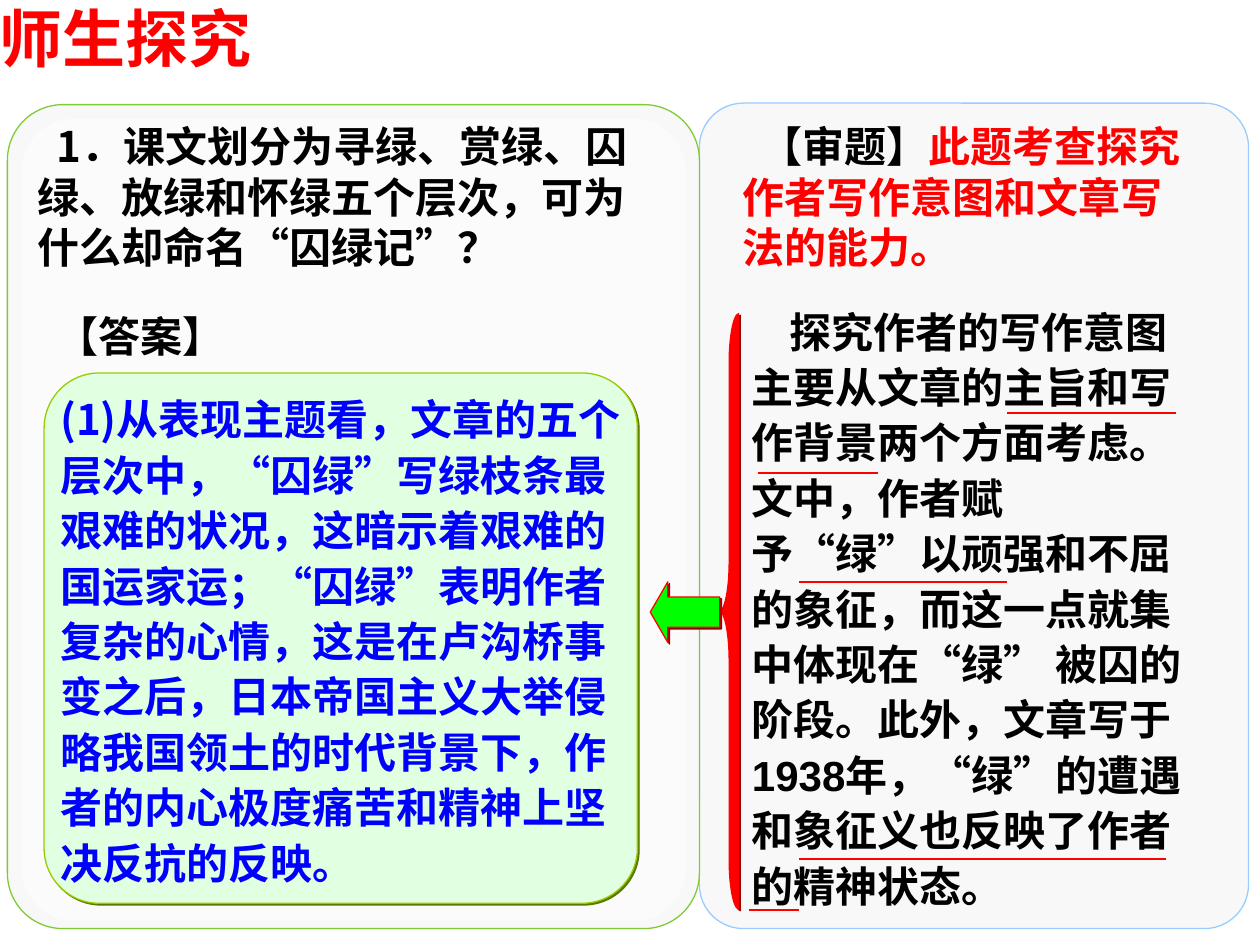
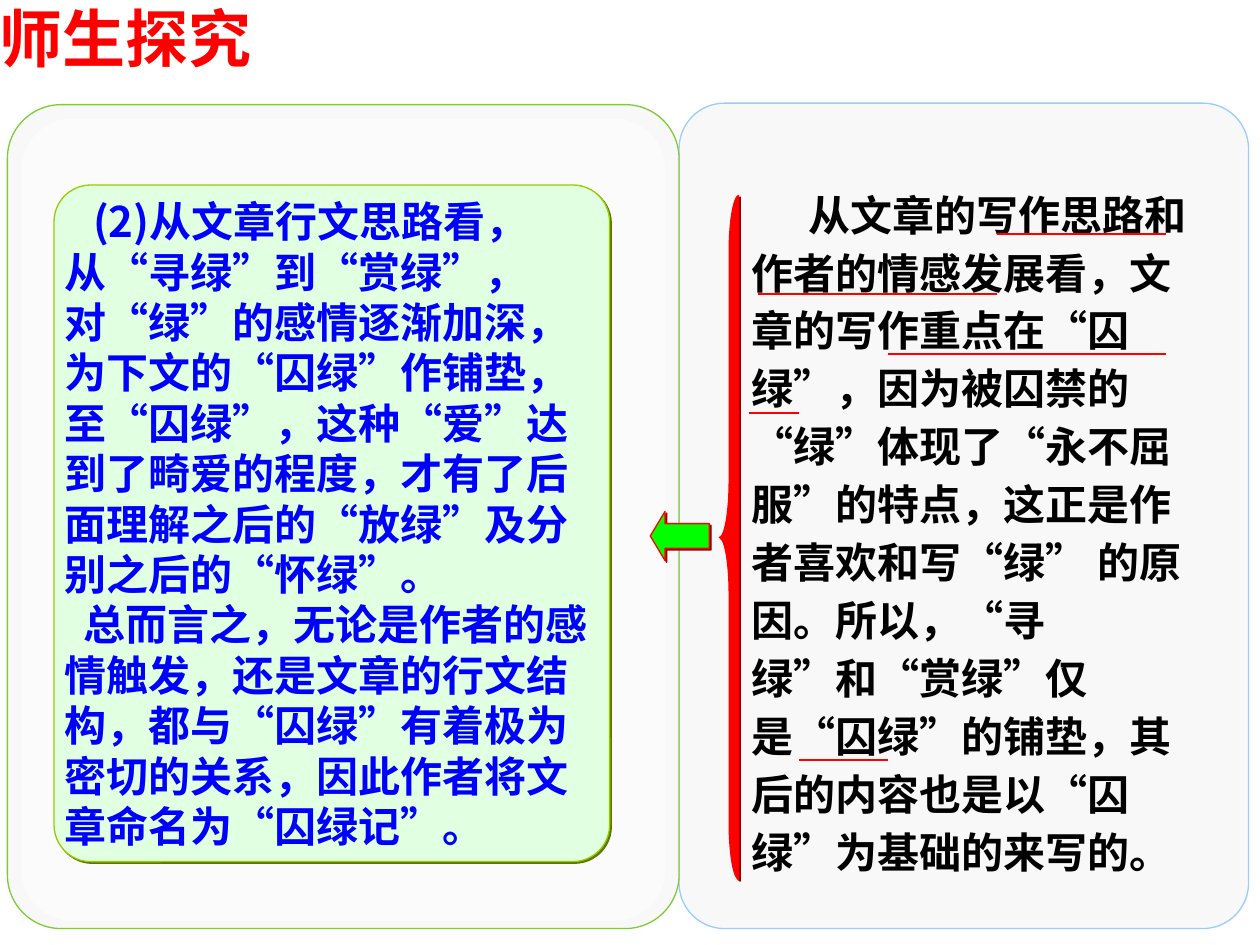
from dataclasses import dataclass

from pptx import Presentation
from pptx.dml.color import RGBColor
from pptx.enum.lang import MSO_LANGUAGE_ID as Language
from pptx.enum.shapes import MSO_CONNECTOR as Connector, MSO_SHAPE as Preset
from pptx.enum.text import MSO_ANCHOR as Anchor, MSO_AUTO_SIZE as AutoSize
from pptx.oxml import parse_xml
from pptx.oxml.ns import nsdecls, qn
from pptx.util import Cm, Pt


@dataclass(frozen=True)
class Theme:
    red: str = "FF0000"
    black: str = "000000"
    blue: str = "0000FF"
    white: str = "FFFFFF"
    card: str = "F8F8F8"
    left_edge: str = "80CB35"
    right_edge: str = "99CCFF"
    answer: str = "E1FFE1"
    answer_edge: str = "99CC00"
    answer_shadow: str = "5B7900"
    arrow: str = "00FF00"
    red_shadow: str = "980000"
    text_shadow: str = "808080"
    latin: str = "Arial"
    chinese: str = "Noto Sans CJK SC"
    title_size: int = 36
    body_size: int = 24
    edge_width: float = 0.75
    rule_width: float = 1
    space_width: float = 0.19


def shadow_effect(color):
    return parse_xml(
        f'<a:effectLst {nsdecls("a")}><a:outerShdw dist="{Pt(1.4)}" dir="2700000" algn="ctr">'
        f'<a:srgbClr val="{color}"/></a:outerShdw></a:effectLst>'
    )


class LessonDeck:
    """Builds the lesson slides in one shared style."""

    def __init__(self, theme):
        self.theme = theme
        self.presentation = Presentation()
        self.presentation.slide_width = Cm(25.4)
        self.presentation.slide_height = Cm(19.05)
        self.slide = None

    def start_slide(self, title, seam):
        theme = self.theme
        self.slide = self.presentation.slides.add_slide(self.presentation.slide_layouts[6])
        left, right = 0.15, 25.17
        self.shape(Preset.ROUNDED_RECTANGLE, (seam, 2.08, right - seam, 16.64),
                   theme.card, theme.right_edge, [0.08])
        self.shape(Preset.ROUNDED_RECTANGLE, (left, 2.11, seam - left, 16.61),
                   theme.card, theme.left_edge, [0.08])
        glow = self.shape(Preset.ROUNDED_RECTANGLE,
                          (left + 0.28, 2.39, seam - left - 0.55, 16.18), theme.white, None, [0.08])
        color = glow.fill._xPr.find(qn("a:solidFill"))[0]
        color.append(parse_xml(f'<a:alpha {nsdecls("a")} val="50000"/>'))
        self.text((0, 0, 8.5, 1.52), [(0, [(title, theme.red)])], font=theme.latin,
                  size=theme.title_size, inset=False)

    def shape(self, preset, box, fill, edge, adjustments=(), shadow=None):
        shape = self.slide.shapes.add_shape(preset, *map(Cm, box))
        for index, value in enumerate(adjustments):
            shape.adjustments[index] = value
        shape.fill.solid()
        shape.fill.fore_color.rgb = RGBColor.from_string(fill)
        if edge:
            shape.line.color.rgb = RGBColor.from_string(edge)
            shape.line.width = Pt(self.theme.edge_width)
        else:
            shape.line.fill.background()
        shape.shadow.inherit = False
        if shadow:
            properties = shape._element.spPr
            effects = properties.find(qn("a:effectLst"))
            properties.replace(effects, shadow_effect(shadow))
        return shape

    def text(self, box, paragraphs, inset=True, **style):
        frame = self.slide.shapes.add_textbox(*map(Cm, box)).text_frame
        self.fill_frame(frame, paragraphs, inset, shadowed=True, **style)

    def fill_frame(self, frame, paragraphs, inset, shadowed, font=None, size=None,
                   spacing=1.0, anchor=Anchor.TOP):
        frame.word_wrap = True
        frame.auto_size = AutoSize.SHAPE_TO_FIT_TEXT
        frame.vertical_anchor = anchor
        frame.margin_left = frame.margin_right = Cm(0.25 if inset else 0)
        frame.margin_top = frame.margin_bottom = Cm(0.13 if inset else 0)
        for index, (indent, runs) in enumerate(paragraphs):
            paragraph = frame.add_paragraph() if index else frame.paragraphs[0]
            paragraph.line_spacing = spacing
            properties = paragraph._p.get_or_add_pPr()
            properties.set("algn", "l")
            properties.set("marL", "0")
            properties.set("indent", str(Cm(indent * self.theme.space_width)))
            for words, color in runs:
                self.run(paragraph, words, color, font or self.theme.chinese,
                         size or self.theme.body_size, shadowed)

    def run(self, paragraph, words, color, font, size, shadowed):
        run = paragraph.add_run()
        run.text = words
        run.font.name = font
        run.font.size = Pt(size)
        run.font.bold = True
        run.font.language_id = Language.SIMPLIFIED_CHINESE
        run.font.color.rgb = RGBColor.from_string(color)
        properties = run._r.get_or_add_rPr()
        properties.find(qn("a:latin")).addnext(
            parse_xml(f'<a:ea {nsdecls("a")} typeface="{self.theme.chinese}"/>'))
        if shadowed:
            properties.find(qn("a:solidFill")).addnext(shadow_effect(self.theme.text_shadow))

    def answer(self, box, corner, paragraphs, spacing=1.0):
        theme = self.theme
        panel = self.shape(Preset.ROUNDED_RECTANGLE, box, theme.answer, theme.answer_edge,
                           [corner], theme.answer_shadow)
        self.fill_frame(panel.text_frame,
                        [(indent, [(words, theme.blue)]) for indent, words in paragraphs],
                        inset=False, shadowed=False, spacing=spacing, anchor=Anchor.MIDDLE)

    def underlines(self, rules):
        for start, end, height in rules:
            line = self.slide.shapes.add_connector(
                Connector.STRAIGHT, Cm(start), Cm(height), Cm(end), Cm(height))
            line.line.color.rgb = RGBColor.from_string(self.theme.red)
            line.line.width = Pt(self.theme.rule_width)
            line._element.spPr.append(parse_xml(f'<a:effectLst {nsdecls("a")}/>'))

    def brace(self, top, height):
        width = 0.4
        self.shape(Preset.LEFT_BRACE, (14.5, top, width, height), self.theme.red,
                   self.theme.red, [height / 12 / width, 0.5], self.theme.red_shadow)

    def arrow(self, top, width, height, head):
        self.shape(Preset.LEFT_ARROW, (13.11, top, width, height), self.theme.arrow,
                   self.theme.red, [0.5, head], self.theme.red_shadow)


def build_theme_slide(deck):
    theme = deck.theme
    deck.start_slide("师生探究", seam=14.1)
    deck.text((0.51, 2.31, 12.8, 3.3), [(2, [
        ("1．课文划分为寻绿、赏绿、囚绿、放绿和怀绿五个层次，可为什么却命名“囚绿记”？", theme.black),
    ])], anchor=Anchor.MIDDLE)
    deck.answer((0.89, 7.52, 11.96, 10.69), 0.104, [(0, (
        "(1)从表现主题看，文章的五个层次中，“囚绿”写绿枝条最艰难的状况，"
        "这暗示着艰难的国运家运；“囚绿”表明作者复杂的心情，这是在卢沟桥事变之后，"
        "日本帝国主义大举侵略我国领土的时代背景下，作者的内心极度痛苦和精神上坚决反抗的反映。"
    ))], spacing=1.1)
    deck.text((0.89, 6.12, 4.8, 1.27), [(0, [("【答案】", theme.black)])], font=theme.latin)
    deck.text((14.71, 2.31, 9.6, 3.3), [(2, [
        ("【审题】", theme.black),
        ("此题考查探究作者写作意图和文章写法的能力。", theme.red),
    ])], anchor=Anchor.MIDDLE)
    deck.text((14.91, 5.94, 9.3, 12.55), [(4, [(
        "探究作者的写作意图主要从文章的主旨和写作背景两个方面考虑。文中，"
        "作者赋予“绿”以顽强和不屈的象征，而这一点就集中体现在“绿” 被囚的阶段。"
        "此外，文章写于1938年，“绿”的遭遇和象征义也反映了作者的精神状态。", theme.black,
    )])], font=theme.latin, spacing=1.1)
    deck.underlines([
        (20.29, 23.7, 8.33), (15.29, 17.7, 9.53), (16.1, 20.29, 11.73),
        (16.1, 23.5, 17.32), (15.09, 16.1, 18.34),
    ])
    deck.brace(6.32, 12.01)
    deck.arrow(11.73, 1.4, 1.22, 0.29)


def build_structure_slide(deck):
    theme = deck.theme
    deck.start_slide("师生探究", seam=13.69)
    deck.answer((1.09, 3.73, 11.2, 13.64), 0.066, [
        (3, "(2)从文章行文思路看，从“寻绿”到“赏绿”，对“绿”的感情逐渐加深，"
            "为下文的“囚绿”作铺垫，至“囚绿”，这种“爱”达到了畸爱的程度，"
            "才有了后面理解之后的“放绿”及分别之后的“怀绿”。"),
        (2, "总而言之，无论是作者的感情触发，还是文章的行文结构，"
            "都与“囚绿”有着极为密切的关系，因此作者将文章命名为“囚绿记”。"),
    ])
    deck.text((14.91, 3.53, 9.4, 14.27), [(6, [(
        "从文章的写作思路和作者的情感发展看，文章的写作重点在“囚绿”，"
        "因为被囚禁的 “绿”体现了“永不屈服”的特点，这正是作者喜欢和写“绿” 的原因。"
        "所以，“寻绿”和“赏绿”仅是“囚绿”的铺垫，其后的内容也是以“囚绿”为基础的来写的。",
        theme.black,
    )])], font=theme.latin, spacing=1.15)
    deck.underlines([
        (20.09, 23.5, 4.72), (15.29, 20.09, 5.92), (17.91, 23.5, 7.14),
        (15.09, 16.1, 8.33), (16.1, 17.91, 15.32),
    ])
    deck.brace(3.94, 13.79)
    deck.arrow(10.31, 1.19, 0.99, 0.3)


def main():
    deck = LessonDeck(Theme())
    build_theme_slide(deck)
    build_structure_slide(deck)
    deck.presentation.save("out.pptx")


if __name__ == "__main__":
    main()
